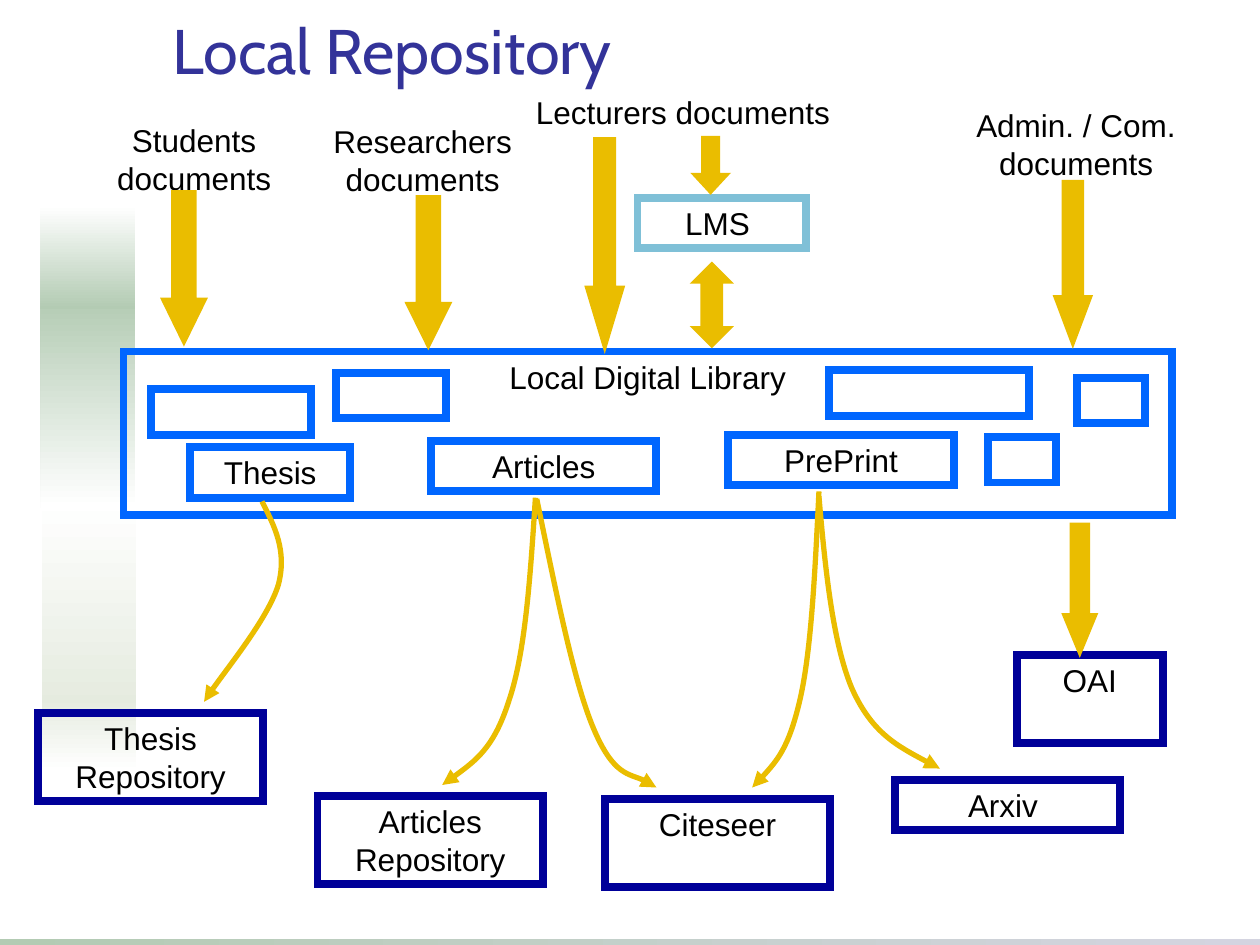
from collections import namedtuple

from pptx import Presentation
from pptx.dml.color import RGBColor
from pptx.enum.shapes import MSO_SHAPE as Kind
from pptx.enum.text import MSO_ANCHOR as Anchor, PP_ALIGN as Align
from pptx.oxml.ns import qn
from pptx.util import Inches, Pt
from lxml.etree import SubElement as Sub

BLACK = RGBColor(0, 0, 0)
INDIGO = RGBColor(0x33, 0x33, 0x99)
NAVY = RGBColor(0, 0, 0x99)
BLUE = RGBColor(0, 0x66, 0xFF)
TEAL = RGBColor(0x7F, 0xC0, 0xD7)
GOLD = RGBColor(0xEA, 0xBD, 0)
WHITE = RGBColor(0xFF, 0xFF, 0xFF)
SAGE = RGBColor(0xB3, 0xCB, 0xB3)
PALE = RGBColor(0xE5, 0xEB, 0xDF)
GREY = RGBColor(0xD4, 0xD4, 0xE0)

COLS, ROWS = 100, 75
CELL = Inches(0.1)
BODY = {"name": "Arial", "size": Pt(18)}
HEAD = {"name": "Cabin", "size": Pt(36)}
Box = namedtuple("Box", "x y w h")


def put(item, values):
    for key, value in values.items():
        setattr(item, key, value)


def spot(box, x, y, w, h):
    return [round(n * CELL) for n in (box.x + x, box.y + y, w, h)]


def write(shape, text, font=BODY, color=BLACK, para=None, **frame):
    put(shape.text_frame, {"word_wrap": True, "vertical_anchor": Anchor.TOP, **frame})
    shape.text_frame.text = text
    for line in shape.text_frame.paragraphs:
        put(line, para or {"alignment": Align.CENTER})
        put(line.font, font)
        line.font.color.rgb = color


def stroke(shape, color, width=4.5):
    shape.shadow.inherit = False
    shape.line.width = Pt(width)
    shape.line.color.rgb = color
    edge = shape.element.spPr.find(qn("a:ln"))
    Sub(edge, qn("a:miter"), lim="800000")
    return edge


def frame(slide, place, color, text=""):
    shape = slide.shapes.add_shape(Kind.RECTANGLE, *place)
    shape.fill.background()
    stroke(shape, color)
    if text:
        write(shape, text)


def label(slide, place, text):
    write(slide.shapes.add_textbox(*place), text,
          word_wrap=False, margin_left=0, margin_right=0)


def arrow(slide, place, head, kind=Kind.DOWN_ARROW):
    shape = slide.shapes.add_shape(kind, *place)
    shape.fill.solid()
    shape.fill.fore_color.rgb = GOLD
    shape.adjustments[1] = head
    stroke(shape, GOLD)


def curve(slide, box, points):
    start, *rest = [spot(box, x, y, 0, 0)[:2] for x, y in points]
    draft = slide.shapes.build_freeform(*start)
    draft.add_line_segments(rest, close=False)
    shape = draft.convert_to_shape()
    shape.fill.background()
    steps = list(shape.element.iter(qn("a:lnTo")))
    trail = steps[0].getparent()
    for i in range(0, len(steps), 3):
        bend = Sub(trail, qn("a:cubicBezTo"))
        for step in steps[i:i + 3]:
            bend.append(step[0])
            trail.remove(step)
    Sub(stroke(shape, GOLD, 3), qn("a:tailEnd"), type="triangle")


def decor(slide, box):
    bands = [
        ((0, 74.5, box.w, 0.5), SAGE, GREY, 0),
        ((3.3, 39.5, 7.5, 16.7), WHITE, PALE, 270),
        ((3.2, 23.6, 7.5, 16.7), SAGE, WHITE, 270),
        ((3.2, 16.3, 7.5, 8.2), WHITE, SAGE, 270),
        ((3.3, 55.4, 7.5, 5.8), PALE, WHITE, 270),
    ]
    for place, first, last, angle in bands:
        band = slide.shapes.add_shape(Kind.RECTANGLE, *spot(box, *place))
        band.shadow.inherit = False
        band.line.fill.background()
        band.fill.gradient()
        band.fill.gradient_angle = angle
        for stop, color, at in zip(band.fill.gradient_stops, (first, last), (0, 1)):
            stop.color.rgb = color
            stop.position = at


def title(slide, box):
    shape = slide.shapes.add_textbox(*spot(box, 0, 0, box.w, box.h))
    write(shape, "Local Repository", HEAD, INDIGO,
          {"alignment": Align.LEFT, "line_spacing": 1.01},
          vertical_anchor=Anchor.BOTTOM)


def library(slide, box):
    frame(slide, spot(box, 0, 0, box.w, box.h), BLUE, "Local Digital Library")
    for x, y, w, text in [(5.3, 7.6, 12.7, "Thesis"), (24.4, 7.1, 17.9, "Articles"),
                          (48, 6.6, 17.9, "PrePrint")]:
        frame(slide, spot(box, x, y, w, 4), BLUE, text)
    for x, y, w in [(2.2, 3, 12.7), (16.9, 1.7, 8.7), (56, 1.5, 15.9),
                    (68.6, 6.8, 5.4), (75.7, 2.1, 5.4)]:
        frame(slide, spot(box, x, y, w, 3.6), BLUE)


def sources(slide, box):
    for x, y, w, h, text in [(8.3, 2.2, 14.2, 7, "Students\ndocuments"),
                             (25.5, 2.3, 16.1, 7, "Researchers\ndocuments"),
                             (37.5, 0, 33.4, 4, "Lecturers documents"),
                             (76.5, 1, 17.8, 7, "Admin. / Com.\ndocuments")]:
        label(slide, spot(box, x, y, w, h), text)
    frame(slide, spot(box, 50.6, 8.8, 13.4, 4), TEAL, "LMS ")
    for *place, head in [(13.2, 8.5, 2.8, 11.4, 1.02), (32.6, 8.9, 2.8, 11.3, 1.01),
                         (46.8, 4.3, 2.4, 15.8, 1.67), (55.5, 4.2, 1.8, 3.9, 0.54),
                         (84, 7.7, 2.3, 12.2, 1.33)]:
        arrow(slide, spot(box, *place), head)
    arrow(slide, spot(box, 55.5, 14.3, 2, 6), 0.59, Kind.UP_DOWN_ARROW)


def targets(slide, box):
    for x, y, w, h, text in [(3, 17.6, 17.9, 7, "Thesis Repository"),
                             (25.2, 24.2, 17.9, 7, "Articles Repository"),
                             (48, 24.4, 17.9, 7, "Citeseer"),
                             (71, 22.9, 17.9, 4, "Arxiv "),
                             (80.7, 13, 11.6, 7, "OAI")]:
        frame(slide, spot(box, x, y, w, h), NAVY, text)
    arrow(slide, spot(box, 84.7, 2.8, 2, 9.6), 1.21)
    for points in [
        [(20.8, 0.8), (21.8, 2.8), (22.8, 4.7), (22.1, 7.4), (21.3, 10), (17.1, 15.2), (16.2, 16.7)],
        [(42.5, 0.5), (42.1, 6.7), (41.7, 12.8), (40.4, 16.6), (39.2, 20.4), (37.1, 21.9), (35.1, 23.3)],
        [(42.6, 0.6), (44.1, 7.8), (45.5, 15), (47.1, 18.8), (48.7, 22.6), (51.2, 22.7), (52.1, 23.5)],
        [(65, 0), (64.7, 6.2), (64.4, 12.6), (63.5, 16.5), (62.6, 20.4), (61.2, 22), (59.7, 23.5)],
        [(65, 0.4), (65.5, 6.2), (66.1, 12), (67.6, 15.6), (69.2, 19.2), (71.9, 20.6), (74.6, 22)],
    ]:
        curve(slide, box, points)


def main():
    deck = Presentation()
    put(deck, {"slide_width": COLS * CELL, "slide_height": ROWS * CELL})
    slide = deck.slides.add_slide(deck.slide_layouts[6])
    decor(slide, Box(0, 0, COLS, ROWS))
    title(slide, Box(12.7, 0, 84.1, 7.4))
    library(slide, Box(9.8, 27.9, 83.2, 13))
    sources(slide, Box(0, 6.9, COLS, 21))
    targets(slide, Box(0, 39, COLS, 32))
    deck.save("out.pptx")


if __name__ == "__main__":
    main()
